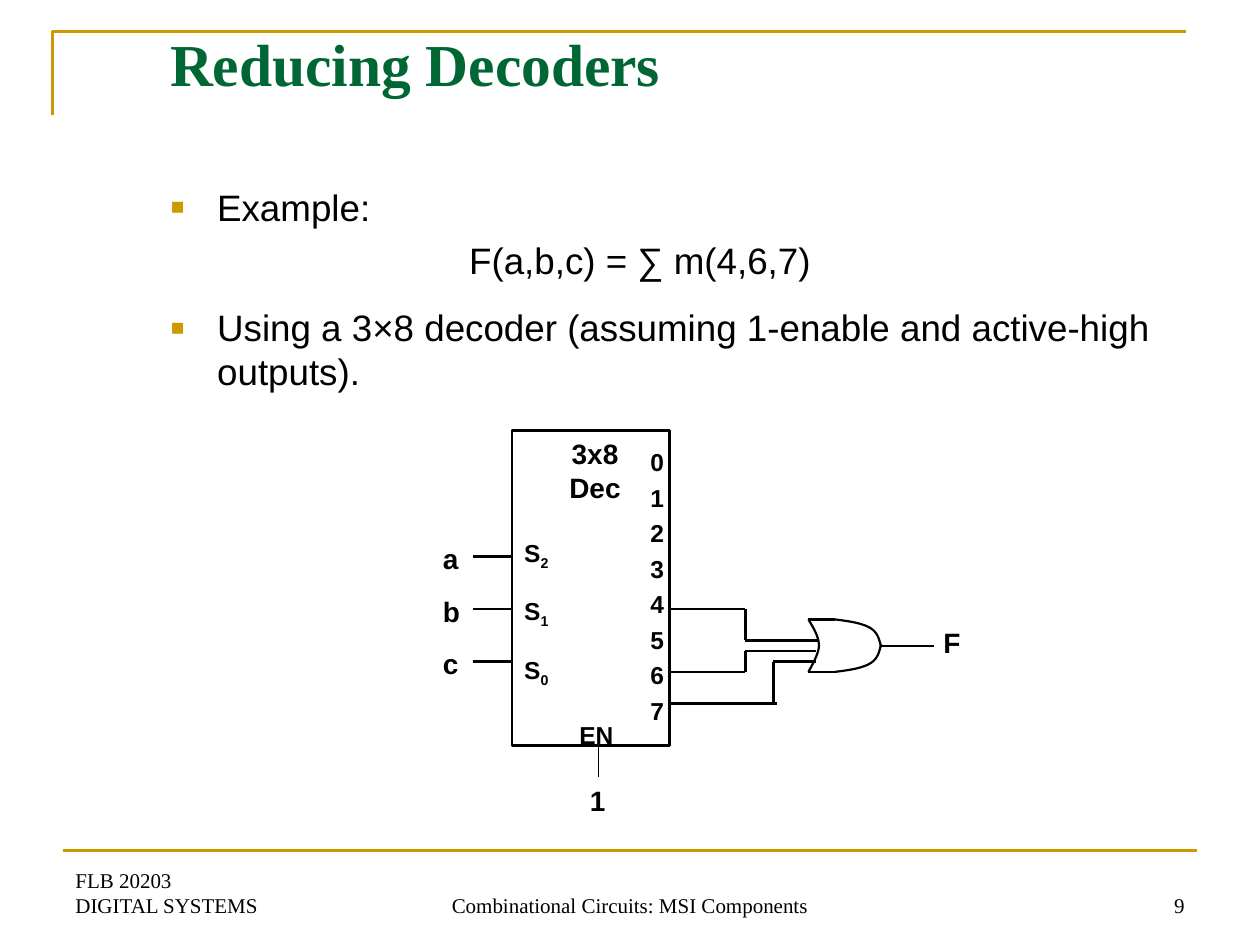
"""Build the slide on reducing decoders, with a 3x8 decoder driving an OR gate."""
import lxml.etree
import pptx
import pptx.dml.color
import pptx.enum.shapes
import pptx.enum.text
import pptx.oxml.ns
import pptx.util

Pt = pptx.util.Pt
ALIGN = pptx.enum.text.PP_ALIGN
ANCHOR = pptx.enum.text.MSO_ANCHOR
BLACK = pptx.dml.color.RGBColor(0x00, 0x00, 0x00)
GOLD = pptx.dml.color.RGBColor(0xCC, 0x99, 0x00)
GREEN = pptx.dml.color.RGBColor(0x00, 0x66, 0x33)
SANS = "Arial"
SERIF = "Times New Roman"
LINE_HEIGHT = 1.2


def add_element(parent, tag, **attributes):
    return lxml.etree.SubElement(parent, pptx.oxml.ns.qn(tag), **attributes)


def bezier(start, first, second, end, steps=12):
    points = []
    for step in range(steps + 1):
        t = step / steps
        weights = ((1 - t) ** 3, 3 * t * (1 - t) ** 2, 3 * t**2 * (1 - t), t**3)
        corners = (start, first, second, end)
        points.append(tuple(sum(w * corner[axis] for w, corner in zip(weights, corners))
                            for axis in (0, 1)))
    return points


class SlideBuilder:
    def __init__(self, slide):
        self.slide = slide

    def style_paragraph(self, paragraph, size, font, color=BLACK, bold=False, align=ALIGN.LEFT):
        paragraph.alignment = align
        paragraph.line_spacing = Pt(size * LINE_HEIGHT)
        for run in paragraph.runs:
            run.font.size = Pt(size)
            run.font.name = font
            run.font.bold = bold
            run.font.color.rgb = color

    def title(self, text, left, top, width, height):
        shape = self.slide.shapes.title
        shape.left, shape.top, shape.width, shape.height = map(Pt, (left, top, width, height))
        shape.text_frame.text = text
        shape.text_frame.vertical_anchor = ANCHOR.TOP
        self.style_paragraph(shape.text_frame.paragraphs[0], 34, SERIF, GREEN, True)

    def text(self, lines, left, top, width, height, size, font=SANS, bold=True,
             align=ALIGN.LEFT, anchor=ANCHOR.TOP, gap=0):
        shape = self.slide.shapes.add_textbox(*map(Pt, (left, top, width, height)))
        frame = shape.text_frame
        frame.word_wrap = True
        frame.vertical_anchor = anchor
        frame.text = "\n".join(lines)
        for index, paragraph in enumerate(frame.paragraphs):
            self.style_paragraph(paragraph, size, font, bold=bold, align=align)
            if index and gap:
                paragraph.space_before = Pt(gap)
        return frame.paragraphs

    def bullet(self, paragraph):
        properties = paragraph._p.get_or_add_pPr()
        properties.set("marL", str(Pt(27)))
        properties.set("indent", str(Pt(-27)))
        color = add_element(properties, "a:buClr")
        add_element(color, "a:srgbClr", val=str(GOLD))
        add_element(properties, "a:buSzPct", val="120000")
        add_element(properties, "a:buFont", typeface=SANS)
        add_element(properties, "a:buChar", char="▪")

    def subscript(self, paragraph, text):
        run = paragraph.add_run()
        run.text = text
        self.style_paragraph(paragraph, 14, SANS, bold=True)
        run.font._element.set("baseline", "-25000")

    def line(self, start, end, color=BLACK, weight=1.25):
        connector = self.slide.shapes.add_connector(
            pptx.enum.shapes.MSO_CONNECTOR.STRAIGHT, *map(Pt, (*start, *end)))
        connector.line.color.rgb = color
        connector.line.width = Pt(weight)
        add_element(connector._element.spPr, "a:effectLst")

    def wire(self, *points):
        for start, end in zip(points, points[1:]):
            self.line(start, end)

    def outline(self, shape, color, weight):
        shape.shadow.inherit = False
        shape.fill.background()
        shape.line.color.rgb = color
        shape.line.width = Pt(weight)

    def rectangle(self, left, top, width, height):
        shape = self.slide.shapes.add_shape(
            pptx.enum.shapes.MSO_SHAPE.RECTANGLE, *map(Pt, (left, top, width, height)))
        self.outline(shape, BLACK, 1.5)

    def path_line(self, points, color=BLACK, weight=1.25):
        points = [(Pt(x), Pt(y)) for x, y in points]
        builder = self.slide.shapes.build_freeform(*points[0], scale=1.0)
        builder.add_line_segments(points[1:], close=False)
        self.outline(builder.convert_to_shape(), color, weight)


def draw_frame(builder):
    builder.path_line([(30, 66), (30, 18), (678, 18)], GOLD, 1.5)
    builder.line((36, 486), (684, 486), GOLD, 1.5)
    footers = [("FLB 20203\vDIGITAL SYSTEMS", 36, 168, ALIGN.LEFT),
               ("Combinational Circuits: MSI Components", 246, 228, ALIGN.CENTER),
               ("9", 516, 168, ALIGN.RIGHT)]
    for text, left, width, align in footers:
        builder.text([text], left, 492, width, 36, 12, SERIF, False, align, ANCHOR.BOTTOM)


def draw_body(builder):
    lines = ["Example:", "F(a,b,c) = ∑ m(4,6,7)",
             "Using a 3×8 decoder (assuming 1-enable and active-high outputs)."]
    example, formula, method = builder.text(lines, 90, 102, 606, 150, 21, bold=False, gap=5.2)
    method.space_before = Pt(13.1)
    builder.bullet(example)
    builder.bullet(method)
    formula._p.get_or_add_pPr().set("marL", str(Pt(171)))


def draw_decoder(builder):
    builder.rectangle(292.5, 246, 90, 180)
    builder.text(["3x8", "Dec"], 310, 246, 60, 46, 16, align=ALIGN.CENTER)
    for paragraph, digit in zip(
            builder.text(["S"] * 3, 292.5, 306, 36, 94, 14, gap=16.6), "210"):
        builder.subscript(paragraph, digit)
    for row, name in enumerate("abc"):
        builder.text([name], 246, 306 + 30 * row, 24, 27, 16)
        builder.line((270, 318 + 30 * row), (292.5, 318 + 30 * row))
    builder.text("01234567", 364.5, 252, 24, 166, 14, gap=3.5)
    builder.text(["EN"], 324, 408, 36, 24, 14)
    builder.line((342, 426), (342, 444), weight=0.75)
    builder.text(["1"], 330, 444, 24, 27, 16)


def draw_gate(builder):
    builder.wire((382.5, 348), (426, 348), (426, 366), (468, 366))
    builder.wire((382.5, 384), (426, 384), (426, 372), (466.5, 372))
    builder.line((382.5, 402), (444, 402))
    builder.wire((442, 402), (442, 378), (466.5, 378))
    builder.path_line(bezier((462, 354), (465, 359), (468, 364), (468, 369))
                      + bezier((468, 369), (468, 374), (463, 382), (462, 384))[1:])
    for edge, side in ((354, 1), (384, -1)):
        builder.line((462, edge), (477, edge))
        builder.path_line(
            bezier((477, edge), (485, edge + side), (492.5, edge + 2 * side),
                   (497.5, edge + 5 * side))
            + bezier((497.5, edge + 5 * side), (502, edge + 8 * side),
                     (502.5, edge + 12 * side), (503.5, edge + 16 * side))[1:])
    builder.line((504, 369), (534, 369))
    builder.text(["F"], 532, 354, 24, 27, 16)


def main():
    presentation = pptx.Presentation()
    presentation.slide_width, presentation.slide_height = Pt(720), Pt(540)
    builder = SlideBuilder(presentation.slides.add_slide(presentation.slide_layouts[5]))
    draw_frame(builder)
    builder.title("Reducing Decoders", 90, 12, 612, 90)
    draw_body(builder)
    draw_decoder(builder)
    draw_gate(builder)
    presentation.save("out.pptx")


if __name__ == "__main__":
    main()
